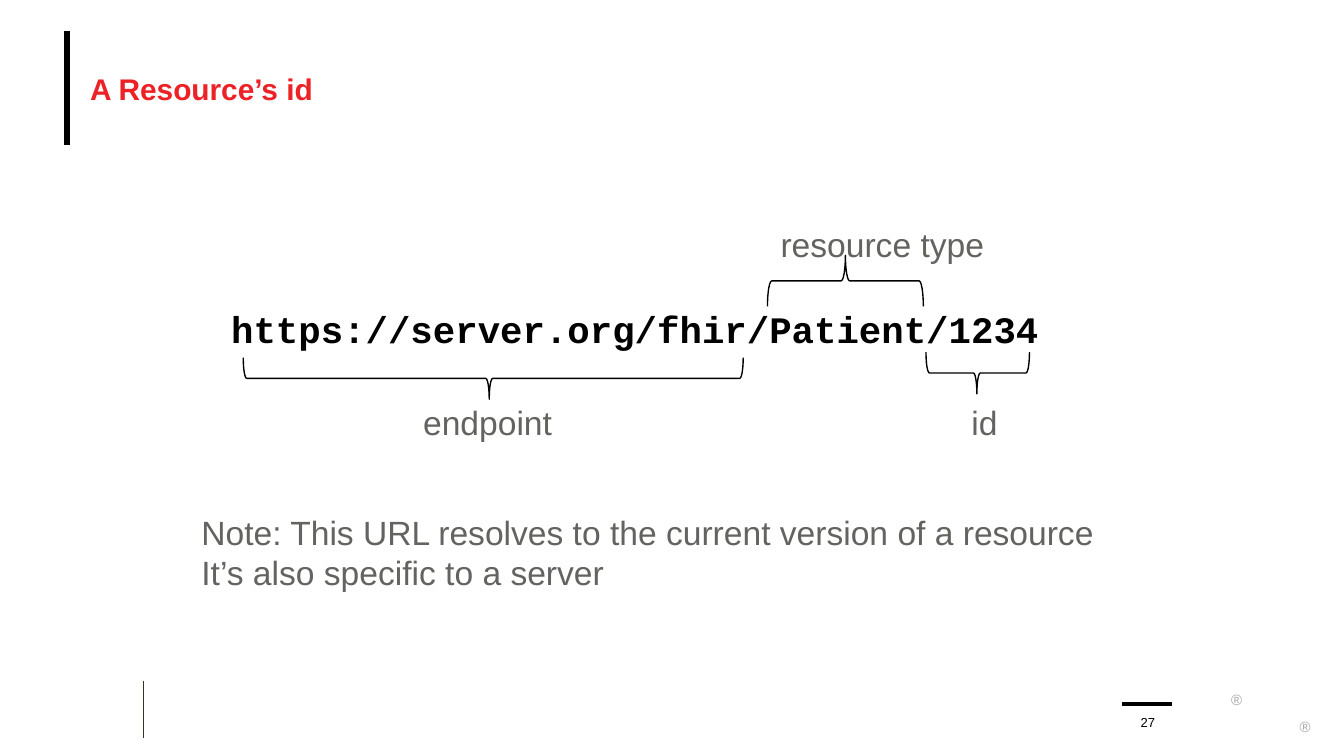
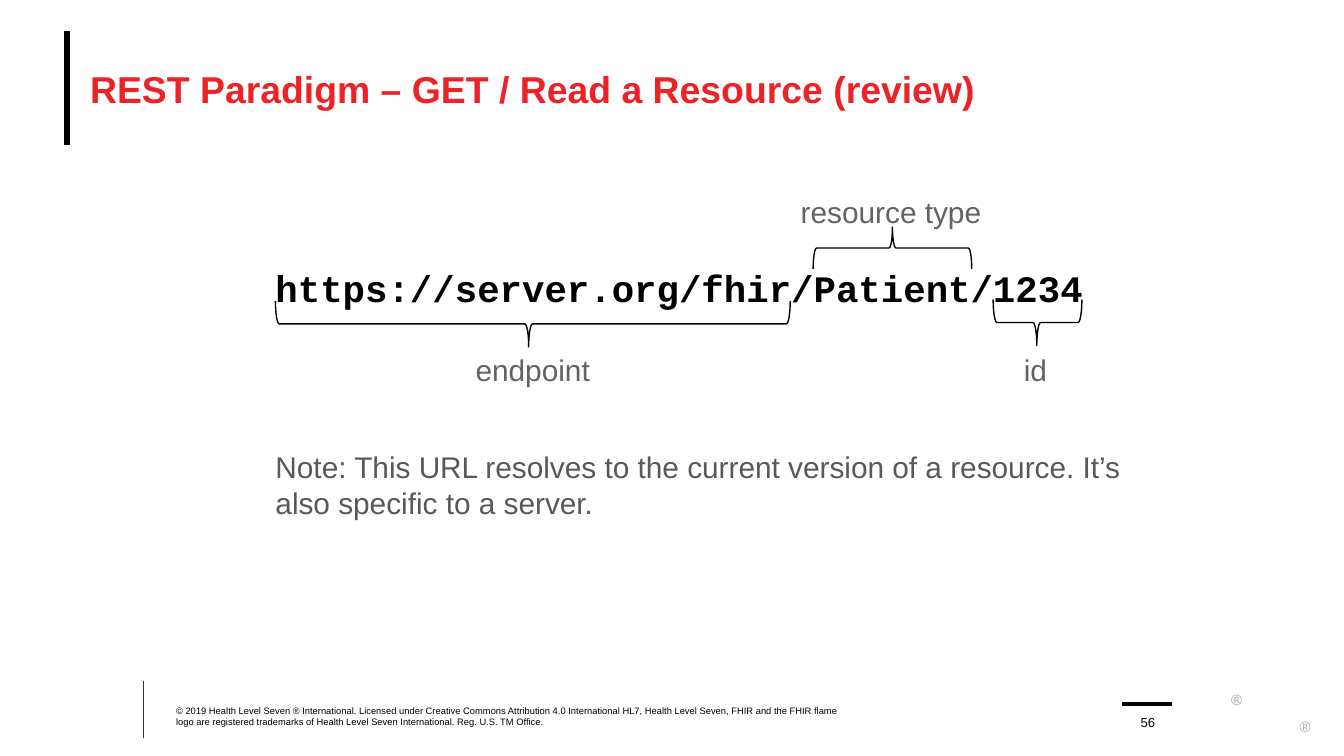
import pptx
import pptx.util
import pptx.dml.color
import pptx.enum.shapes
import pptx.enum.text
import pptx.oxml.ns
import lxml.etree

Inches, Pt = pptx.util.Inches, pptx.util.Pt
ALIGN = pptx.enum.text.PP_ALIGN
ANCHOR = pptx.enum.text.MSO_ANCHOR
RED, BLACK, GREY, DARK, PALE, BROWN = (
    "EC2227", "000000", "636360", "595959", "A6A6A6", "3D3029")
SANS, MONO = "Arial", "Courier New"
URL = "https://server.org/fhir/Patient/1234"
LEGAL = ("© 2019 Health Level Seven ® International. Licensed under Creative "
         "Commons Attribution 4.0 International HL7, Health Level Seven, FHIR "
         "and the FHIR flame logo are registered trademarks of Health Level "
         "Seven International. Reg. U.S. TM Office.")


def color(code):
    return pptx.dml.color.RGBColor.from_string(code)


def add_run(para, text, size, code, font=SANS, bold=False):
    run = para.add_run()
    run.text = text
    run.font.size = Pt(size)
    run.font.name = font
    run.font.bold = bold
    run.font.color.rgb = color(code)


def set_frame(frame, pad, anchor, wrap=True):
    """Set the insets (side, top and bottom), anchor and wrapping."""
    frame.margin_left = frame.margin_right = Inches(pad[0])
    frame.margin_top = frame.margin_bottom = Inches(pad[1])
    frame.vertical_anchor = anchor
    frame.word_wrap = wrap
    frame.auto_size = pptx.enum.text.MSO_AUTO_SIZE.NONE


def add_text(slide, box, lines, size, code, pad=(0, 0), anchor=ANCHOR.TOP,
             wrap=True, align=ALIGN.LEFT):
    """Add a text box with one paragraph per line."""
    frame = slide.shapes.add_textbox(*map(Inches, box)).text_frame
    set_frame(frame, pad, anchor, wrap)
    for i, line in enumerate(lines):
        para = frame.add_paragraph() if i else frame.paragraphs[0]
        para.alignment = align
        add_run(para, line, size, code)


def add_line(slide, ends, code, width):
    line = slide.shapes.add_connector(
        pptx.enum.shapes.MSO_CONNECTOR.STRAIGHT, *map(Inches, ends))
    line.line.color.rgb = color(code)
    line.line.width = Pt(width)
    props = line._element.spPr
    lxml.etree.SubElement(props, pptx.oxml.ns.qn("a:effectLst"))


def add_brace(slide, box, up):
    """Fill the box with a brace lying flat, its tip up or down."""
    left, top, width, height = box
    shift = (width - height) / 2
    brace = slide.shapes.add_shape(
        pptx.enum.shapes.MSO_SHAPE.LEFT_BRACE, Inches(left + shift),
        Inches(top - shift), Inches(height), Inches(width))
    brace.rotation = 90 if up else 270
    brace.adjustments[0] = 0.083
    brace.adjustments[1] = 0.5 if up else 0.492
    brace.shadow.inherit = False
    brace.fill.background()
    brace.line.color.rgb = color(BLACK)
    brace.line.width = Pt(0.75)


def add_url(slide, box):
    frame = slide.shapes.add_textbox(*map(Inches, box)).text_frame
    set_frame(frame, (0, 0), ANCHOR.TOP)
    para = frame.paragraphs[0]
    para.space_after = Pt(6)
    add_run(para, URL, 20, BLACK, MONO, True)
    return frame


def add_marks(slide, box, marks, size):
    """Mark the parts of the URL whose box is given."""
    def place(part):
        return (box[0] + part[0], box[1] + part[1], *part[2:])

    for name, brace, label in marks:
        add_brace(slide, place(brace), up=brace[1] < 0)
        add_text(slide, place(label), [name], size, GREY, (0.1, 0.05),
                 wrap=False)


def add_base(deck, title, size, number):
    """Add a slide with its title, rules and page number."""
    slide = deck.slides.add_slide(deck.slide_layouts[5])
    add_line(slide, (1.07, 5.07, 1.07, 5.49), BROWN, 0.5)
    add_line(slide, (0.5, 0.23, 0.5, 1.08), BLACK, 3.25)
    add_line(slide, (8.35, 5.24, 8.72, 5.24), BLACK, 2)
    for left, top in ((9.16, 5.1), (9.67, 5.3)):
        add_text(slide, (left, top, 0.11, 0.09), ["®"], 8, PALE, (0, 0.05),
                 wrap=False)
    head = slide.shapes.title
    head.left, head.top, head.width, head.height = map(
        Inches, (0.67, 0.23, 9, 0.86))
    set_frame(head.text_frame, (0, 0), ANCHOR.MIDDLE)
    para = head.text_frame.paragraphs[0]
    para.alignment = ALIGN.LEFT
    add_run(para, title, size, RED, bold=True)
    add_text(slide, (8.39, 5.24, 0.3, 0.19), [number], 7, BLACK,
             anchor=ANCHOR.BOTTOM, align=ALIGN.CENTER)
    return slide


def add_id(deck):
    slide = add_base(deck, "A Resource’s id", 16, "27")
    box = (1.72, 2.28, 7.3, 0.43)
    add_url(slide, box)
    add_marks(slide, box, [
        ("endpoint", (0.09, 0.38, 3.72, 0.31), (1.33, 0.66, 1.17, 0.4)),
        ("resource type", (3.99, -0.38, 1.16, 0.38),
         (3.99, -0.66, 1.73, 0.4)),
        ("id", (5.17, 0.34, 0.77, 0.31), (5.41, 0.66, 0.41, 0.4)),
    ], 18)
    add_text(slide, (1.4, 3.76, 6.91, 0.71),
             ["Note: This URL resolves to the current version of a resource",
              "It’s also specific to a server"],
             18, GREY, (0.1, 0.05), wrap=False)


def add_read(deck):
    slide = add_base(
        deck, "REST Paradigm – GET / Read a Resource (review)", 20, "56")
    add_text(slide, (1.31, 5.24, 4.95, 0.17), [LEGAL], 5, BLACK,
             anchor=ANCHOR.BOTTOM)
    box = (2.05, 1.97, 6.33, 2.19)
    note = add_url(slide, box).add_paragraph()
    note.space_before = Pt(68.5)
    add_run(note, "Note: This URL resolves to the current version of a "
            "resource. It’s also specific to a server.", 16, DARK)
    add_marks(slide, box, [
        ("endpoint", (0, 0.27, 3.83, 0.34), (1.39, 0.6, 1.06, 0.37)),
        ("resource type", (4, -0.28, 1.18, 0.31), (3.81, -0.58, 1.56, 0.37)),
        ("id", (5.34, 0.26, 0.66, 0.34), (5.47, 0.6, 0.47, 0.37)),
    ], 16)


def main():
    deck = pptx.Presentation()
    deck.slide_width = Inches(10)
    deck.slide_height = deck.slide_width * 9 // 16
    add_id(deck)
    add_read(deck)
    deck.save("out.pptx")


if __name__ == "__main__":
    main()
